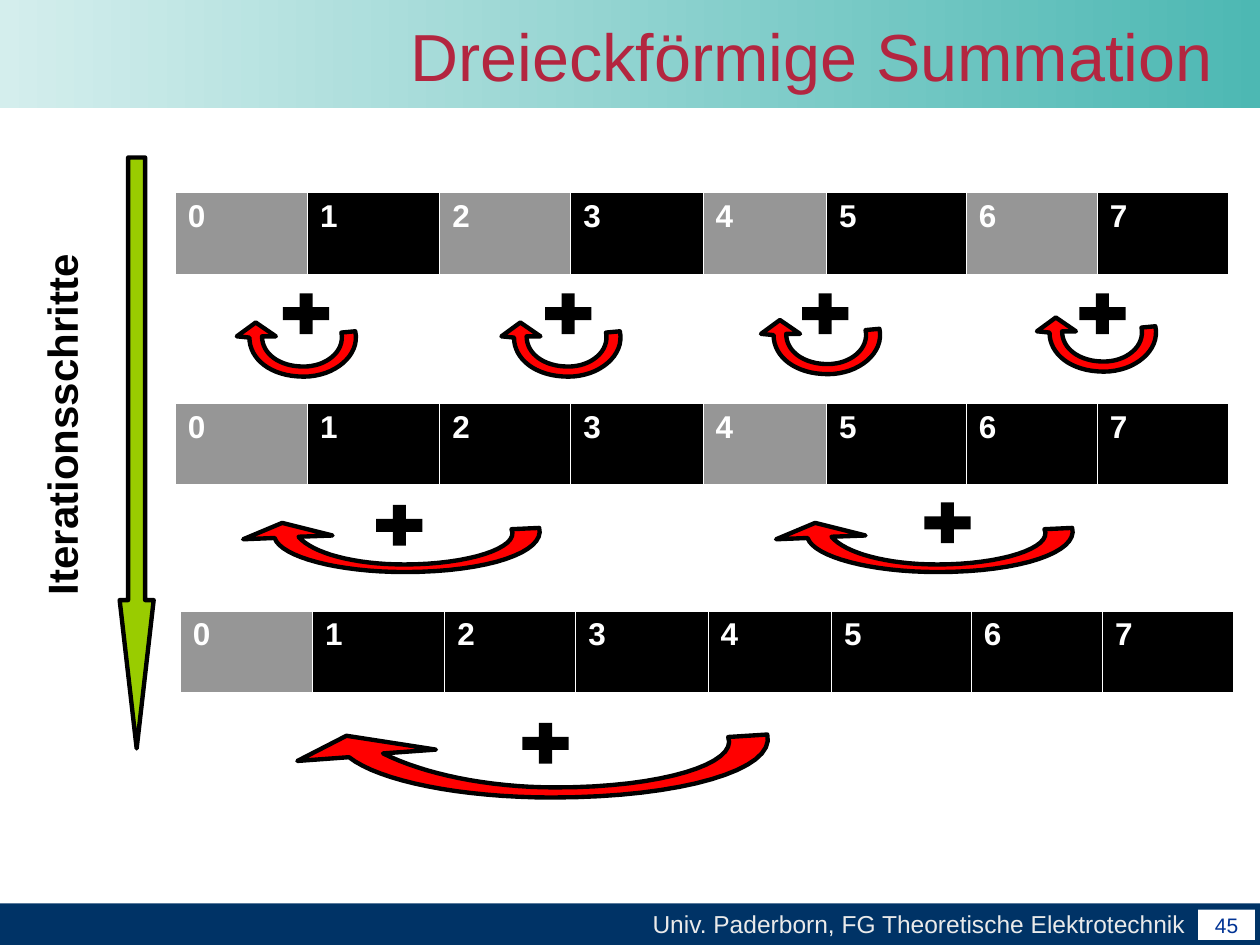
from lxml.etree import SubElement
from pptx import Presentation
from pptx.dml.color import RGBColor
from pptx.enum.shapes import MSO_SHAPE
from pptx.enum.text import MSO_ANCHOR, PP_ALIGN
from pptx.oxml.ns import qn
from pptx.util import Inches, Pt

WIDTH, HEIGHT = 10, 7.5
FONT = "Arial"
COLORS = {
    "band_light": "D4EEED", "band_dark": "4DB8B3", "title": "B32640",
    "footer": "003366", "footer_text": "EAEAEA", "number": "003394",
    "white": "FFFFFF", "black": "000000", "grey": "969696",
    "red": "FF0000", "green": "99CC00",
}

# Content: one entry per iteration step
TITLE = "Dreieckförmige Summation"
FOOTER = "Univ. Paderborn, FG Theoretische Elektrotechnik"
PAGE_NUMBER = "45"
AXIS_LABEL = "Iterationsschritte"
COLUMN_WIDTHS = [1.05, 1.05, 1.04, 1.05, 0.98, 1.11, 1.04, 1.04]
ROW_HEIGHT = 0.65
PLUS_SIZE = (0.5, 0.44)
STEPS = [
    {"table": (1.39, 1.53), "outline": "small",
     "arrows": [(1.88, 2.56), (3.98, 2.56), (6.04, 2.54), (8.23, 2.52)],
     "pluses": [(2.18, 2.27), (4.26, 2.27), (6.3, 2.27), (8.5, 2.27)]},
    {"table": (1.39, 3.2), "outline": "wide",
     "arrows": [(1.93, 4.15), (6.16, 4.15)],
     "pluses": [(2.92, 3.95), (7.27, 3.93)]},
    {"table": (1.43, 4.85), "outline": "large",
     "arrows": [(2.36, 5.84)], "pluses": [(4.08, 5.68)]},
]

# Arrow outlines, measured from the head's left and top edges:
# two numbers are a corner, six are a Bézier curve
OUTLINES = {
    "small": [(0.2, 0.11), (0.2, 0.25, 0.34, 0.35, 0.53, 0.35),
              (0.71, 0.35, 0.86, 0.23, 0.83, 0.08), (0.94, 0.07),
              (0.98, 0.26, 0.78, 0.43, 0.53, 0.43),
              (0.27, 0.43, 0.1, 0.29, 0.1, 0.12),
              (0, 0.11), (0.15, 0), (0.31, 0.11)],
    "wide": [(0.44, 0.11), (0.55, 0.24, 0.88, 0.33, 1.28, 0.33),
             (1.78, 0.33, 2.2, 0.2, 2.13, 0.05), (2.35, 0.04),
             (2.4, 0.23, 1.95, 0.39, 1.28, 0.39),
             (0.75, 0.39, 0.3, 0.27, 0.25, 0.12),
             (0, 0.13), (0.31, 0), (0.71, 0.1)],
    "large": [(0.68, 0.14), (1, 0.3, 1.5, 0.41, 2.05, 0.41),
              (2.9, 0.41, 3.5, 0.22, 3.42, 0.01), (3.73, -0.01),
              (3.8, 0.27, 3.05, 0.49, 2.02, 0.49),
              (1.3, 0.49, 0.65, 0.36, 0.41, 0.17),
              (0, 0.2), (0.39, 0), (1.1, 0.11)],
}
CURVE_STEPS = 16


def color(name):
    return RGBColor.from_string(COLORS[name])


def paint(shape, fill, line_width=0):
    shape.shadow.inherit = False
    shape.fill.solid()
    shape.fill.fore_color.rgb = color(fill)
    if line_width:
        shape.line.color.rgb = color("black")
        shape.line.width = Pt(line_width)
    else:
        shape.line.fill.background()


def add_shape(page, kind, area, fill, line_width=0):
    shape = page.shapes.add_shape(kind, *map(Inches, area))
    paint(shape, fill, line_width)
    return shape


def write(frame, text, size, ink, align=PP_ALIGN.LEFT, bold=False):
    frame.text = text
    para = frame.paragraphs[0]
    para.alignment = align
    font = para.runs[0].font
    font.name, font.size, font.bold = FONT, Pt(size), bold
    font.color.rgb = color(ink)


def curve_point(t, *controls):
    """Point at share t of a cubic Bézier curve."""
    weights = ((1 - t) ** 3, 3 * t * (1 - t) ** 2, 3 * t * t * (1 - t), t ** 3)
    return tuple(sum(w * c for w, c in zip(weights, axis)) for axis in zip(*controls))


def add_arrow(page, outline, left, top):
    points = []
    for part in outline:
        if len(part) == 2:
            points.append(part)
        else:
            controls = (points[-1], part[:2], part[2:4], part[4:])
            points += [curve_point(n / CURVE_STEPS, *controls)
                       for n in range(1, CURVE_STEPS + 1)]
    corners = [(Inches(left + x), Inches(top + y)) for x, y in points]
    builder = page.shapes.build_freeform(*corners[0])
    builder.add_line_segments(corners[1:], close=True)
    paint(builder.convert_to_shape(), "red", 2.5)


def add_number_row(page, left, top, stride):
    """Row of numbers; the cells that receive a sum are grey."""
    holder = page.shapes.add_table(
        1, len(COLUMN_WIDTHS), Inches(left), Inches(top),
        Inches(sum(COLUMN_WIDTHS)), Inches(ROW_HEIGHT))
    table = holder.table
    table.first_row = table.horz_banding = False
    for index, width in enumerate(COLUMN_WIDTHS):
        table.columns[index].width = Inches(width)
        cell = table.cell(0, index)
        cell.fill.solid()
        cell.fill.fore_color.rgb = color("black" if index % stride else "grey")
        write(cell.text_frame, str(index), 18, "white", bold=True)
    # White cell borders stand before the fill
    for properties in holder.element.iter(qn("a:tcPr")):
        for position, side in enumerate("LRTB"):
            border = SubElement(properties, qn(f"a:ln{side}"),
                                w=str(Pt(1.47 if side == "B" else 0.45)))
            fill = SubElement(border, qn("a:solidFill"))
            SubElement(fill, qn("a:srgbClr"), val=COLORS["white"])
            properties.insert(position, border)


def add_frame(page):
    """Header band, title, footer and page number."""
    band = add_shape(page, MSO_SHAPE.RECTANGLE, (0, 0, WIDTH, 0.86), "band_light")
    band.fill.gradient()
    band.fill.gradient_angle = 0
    for stop, name in zip(band.fill.gradient_stops, ("band_light", "band_dark")):
        stop.color.rgb = color(name)

    title = page.shapes.title
    band.element.addnext(title.element)
    title.left, title.top, title.width, title.height = map(Inches, (1.5, 0.04, 8.23, 0.76))
    write(title.text_frame, TITLE, 38, "title", PP_ALIGN.RIGHT)
    title.text_frame.vertical_anchor = MSO_ANCHOR.BOTTOM

    footer = add_shape(page, MSO_SHAPE.RECTANGLE, (0, 7.17, WIDTH, 0.33), "footer")
    write(footer.text_frame, FOOTER, 14, "footer_text", PP_ALIGN.RIGHT)
    footer.text_frame.margin_right = Inches(0.59)

    number = add_shape(page, MSO_SHAPE.RECTANGLE, (9.51, 7.22, 0.45, 0.24), "white")
    write(number.text_frame, PAGE_NUMBER, 12, "number", PP_ALIGN.CENTER)
    number.text_frame.margin_left = number.text_frame.margin_right = Inches(0.06)


def add_axis(page):
    """Downward arrow with its upright label."""
    arrow = add_shape(page, MSO_SHAPE.DOWN_ARROW, (0.95, 1.25, 0.27, 4.69), "green", 2.5)
    arrow.adjustments[0], arrow.adjustments[1] = 0.5, 4.36
    label = page.shapes.add_textbox(*map(Inches, (-0.92, 3.07, 2.81, 0.6)))
    label.rotation = 270
    label.text_frame.word_wrap = True
    label.text_frame.margin_left = label.text_frame.margin_right = 0
    label.text_frame.vertical_anchor = MSO_ANCHOR.MIDDLE
    write(label.text_frame, AXIS_LABEL, 24, "black", PP_ALIGN.CENTER, bold=True)


def main():
    deck = Presentation()
    deck.slide_width, deck.slide_height = Inches(WIDTH), Inches(HEIGHT)
    page = deck.slides.add_slide(deck.slide_layouts[5])
    add_frame(page)
    for number, step in enumerate(STEPS, start=1):
        add_number_row(page, *step["table"], stride=2 ** number)
        for corner in step["pluses"]:
            add_shape(page, MSO_SHAPE.MATH_PLUS, corner + PLUS_SIZE, "black")
        for corner in step["arrows"]:
            add_arrow(page, OUTLINES[step["outline"]], *corner)
    add_axis(page)
    deck.save("out.pptx")


if __name__ == "__main__":
    main()
